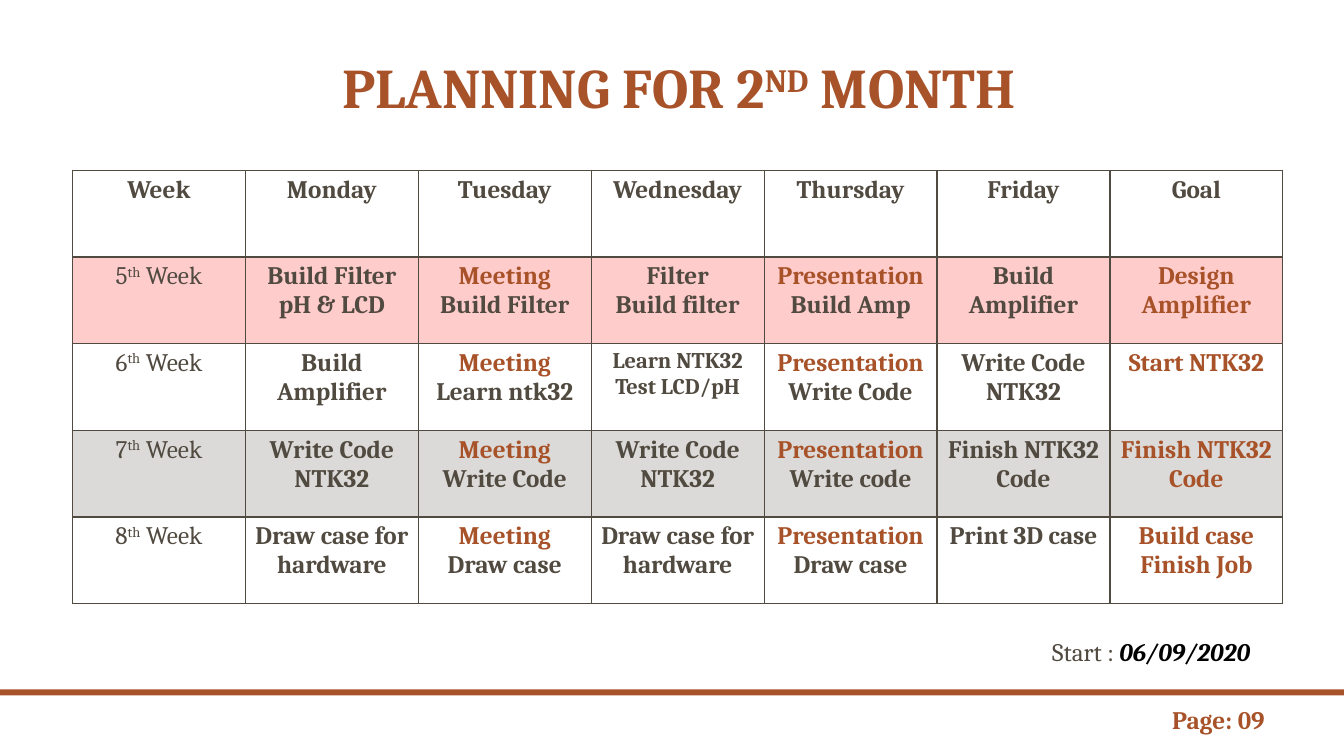
import pptx
import pptx.dml.color
import pptx.enum.shapes
import pptx.enum.text
import pptx.oxml
import pptx.util

Pt = pptx.util.Pt
CENTER = pptx.enum.text.PP_ALIGN.CENTER
BROWN, DARK, BLACK, RED = "A85229", "514A40", "000000", "FF0000"

DAYS = ["Week", "Monday", "Tuesday", "Wednesday", "Thursday", "Friday", "Goal"]
# Week number, row tint, then one text per day and the goal
WEEKS = [
    ("5", RED, ["Build Filter pH & LCD", "Meeting\nBuild Filter", "Filter\nBuild filter",
                "Presentation\nBuild Amp", "Build Amplifier", "Design\nAmplifier"]),
    ("6", None, ["Build\nAmplifier", "Meeting\nLearn ntk32", "Learn NTK32\nTest LCD/pH",
                 "Presentation\nWrite Code", "Write Code NTK32", "Start NTK32"]),
    ("7", DARK, ["Write Code NTK32", "Meeting\nWrite Code", "Write Code\nNTK32",
                 "Presentation\nWrite code", "Finish NTK32 Code", "Finish NTK32 Code"]),
    ("8", None, ["Draw case for hardware", "Meeting\nDraw case", "Draw case for hardware",
                 "Presentation\nDraw case", "Print 3D case", "Build case\nFinish Job"]),
]


def rgb(value):
    return pptx.dml.color.RGBColor.from_string(value)


def add_text(para, text, size=18, color=DARK, bold=False, italic=False, raised=False):
    span = para.add_run()
    span.text = text
    span.font.name = "Cambria"
    span.font.size = Pt(size)
    span.font.color.rgb = rgb(color)
    span.font.bold = bold
    span.font.italic = italic
    if raised:
        span._r.get_or_add_rPr().set("baseline", "30000")


def add_ordinal(para, number, suffix, rest, **style):
    add_text(para, number, **style)
    add_text(para, suffix, raised=True, **style)
    add_text(para, rest, **style)


def add_label(page, left, top, width, height):
    box = page.shapes.add_textbox(Pt(left), Pt(top), Pt(width), Pt(height))
    box.text_frame.word_wrap = True
    return box.text_frame.paragraphs[0]


def format_cell(cell, tint, top, bottom):
    cell.margin_left = cell.margin_right = Pt(6.8)
    properties = cell._tc.get_or_add_tcPr()
    for side, width in (("L", 1), ("R", 1), ("T", top), ("B", bottom)):
        properties.append(pptx.oxml.parse_xml(
            f'<a:ln{side} xmlns:a="http://schemas.openxmlformats.org/drawingml/2006/main" '
            f'w="{Pt(width)}"><a:solidFill><a:srgbClr val="{DARK}"/></a:solidFill></a:ln{side}>'))
    if tint is None:
        cell.fill.background()
        return
    cell.fill.solid()
    cell.fill.fore_color.rgb = rgb(tint)
    # Make the tint 20% opaque
    shade = properties.find("{*}solidFill")[0]
    shade.append(pptx.oxml.parse_xml(
        '<a:alpha xmlns:a="http://schemas.openxmlformats.org/drawingml/2006/main" val="20000"/>'))


def fill_task(cell, day, task):
    size = 16 if task.startswith("Learn NTK32") else 18
    for index, line in enumerate(task.split("\n")):
        para = cell.text_frame.paragraphs[0] if index == 0 else cell.text_frame.add_paragraph()
        para.alignment = CENTER
        accent = day == "Goal" or (day in ("Tuesday", "Thursday") and index == 0)
        add_text(para, line, size=size, color=BROWN if accent else DARK, bold=True)


def add_title(page, left, top, width, height):
    title = page.shapes.title
    title.left, title.top, title.width, title.height = Pt(left), Pt(top), Pt(width), Pt(height)
    frame = title.text_frame
    frame.word_wrap = True
    frame.auto_size = pptx.enum.text.MSO_AUTO_SIZE.NONE
    frame.vertical_anchor = pptx.enum.text.MSO_ANCHOR.BOTTOM
    para = frame.paragraphs[0]
    para.alignment = CENTER
    para.line_spacing = 0.9
    add_ordinal(para, "PLANNING FOR 2", "ND", " MONTH", size=40, color=BROWN, bold=True)


def add_plan(page, left, top, width, height):
    row_count = len(WEEKS) + 1
    table = page.shapes.add_table(row_count, len(DAYS), Pt(left), Pt(top),
                                  Pt(width), Pt(height)).table
    table.first_row = table.horz_banding = False
    for column in table.columns:
        column.width = Pt(width / len(DAYS))
    for row in table.rows:
        row.height = Pt(height / row_count)

    # Header row, with a heavier line below it
    for column, day in enumerate(DAYS):
        cell = table.cell(0, column)
        format_cell(cell, None, 1, 2)
        para = cell.text_frame.paragraphs[0]
        para.alignment = CENTER
        add_text(para, day, bold=True)

    # Week rows
    for row, (number, tint, tasks) in enumerate(WEEKS, 1):
        for column, day in enumerate(DAYS):
            cell = table.cell(row, column)
            format_cell(cell, tint, 2 if row == 1 else 1, 1)
            if column == 0:
                para = cell.text_frame.paragraphs[0]
                para.alignment = CENTER
                add_ordinal(para, number, "th", " Week")
            else:
                fill_task(cell, day, tasks[column - 1])


def add_footer(page, left, top, width):
    # Start date, rule and page number
    para = add_label(page, left + 744.5, top - 41.8, 171.4, 28.8)
    add_text(para, "Start : ")
    add_text(para, "06/09/2020", color=BLACK, bold=True, italic=True)
    rule = page.shapes.add_shape(pptx.enum.shapes.MSO_SHAPE.RECTANGLE,
                                 Pt(left), Pt(top), Pt(width), Pt(4.3))
    rule.shadow.inherit = False
    rule.fill.solid()
    rule.fill.fore_color.rgb = rgb(BROWN)
    rule.line.fill.background()
    para = add_label(page, left + 830.2, top + 7.2, 86.4, 28.8)
    add_text(para, "Page: 09", color=BROWN, bold=True)


def main():
    deck = pptx.Presentation()
    deck.slide_width, deck.slide_height = Pt(960), Pt(540)
    page = deck.slides.add_slide(deck.slide_layouts[5])
    add_title(page, 107, 0, 756, 90)
    add_plan(page, 51.8, 121.7, 864.7, 309.6)
    add_footer(page, 0, 492.5, 960)
    deck.save("out.pptx")


if __name__ == "__main__":
    main()
